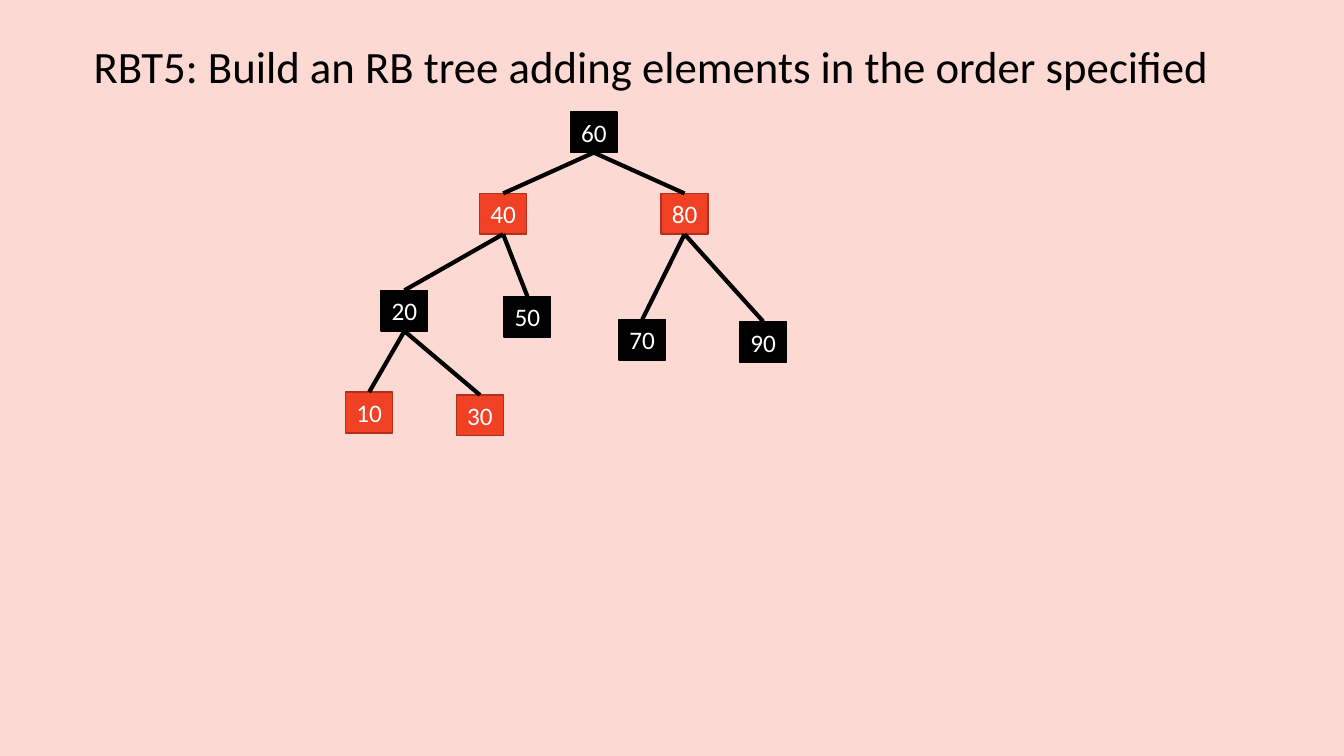
import pptx
import pptx.dml.color
import pptx.enum.shapes
import pptx.enum.text
import pptx.oxml.ns
import pptx.util
from lxml import etree

Pt = pptx.util.Pt
RGBColor = pptx.dml.color.RGBColor
Align = pptx.enum.text.PP_ALIGN

# Content: key -> (left, top, parent key) in points
TITLE = "RBT5: Build an RB tree adding elements in the order specified"
NODES = {
    60: (407.5, 79.9, None),
    40: (342.7, 138.2, 60),
    80: (472.3, 138.2, 60),
    20: (272.2, 207.4, 40),
    50: (360, 211.7, 40),
    70: (442.1, 228.2, 80),
    90: (528.5, 229.7, 80),
    10: (247, 280.1, 20),
    30: (326.2, 282.2, 20),
}
RED_KEYS = {40, 80, 10, 30}
NODE_WIDTH, NODE_HEIGHT = 33.4, 29.1

BACKGROUND = RGBColor(0xFC, 0xD9, 0xD3)
BLACK = RGBColor(0, 0, 0)
WHITE = RGBColor(0xFF, 0xFF, 0xFF)
RED = RGBColor(0xF1, 0x41, 0x24)
DARK_RED = RGBColor(0xB2, 0x30, 0x1B)


def write_text(box, text, size, color, align=Align.LEFT, wrap=True):
    frame = box.text_frame
    frame.word_wrap = wrap
    frame.auto_size = pptx.enum.text.MSO_AUTO_SIZE.SHAPE_TO_FIT_TEXT
    para = frame.paragraphs[0]
    para.alignment = align
    span = para.add_run()
    span.text = text
    span.font.name = "Calibri"
    span.font.size = Pt(size)
    span.font.color.rgb = color


def add_node(page, key, left, top):
    box = page.shapes.add_shape(
        pptx.enum.shapes.MSO_SHAPE.RECTANGLE,
        Pt(left), Pt(top), Pt(NODE_WIDTH), Pt(NODE_HEIGHT))
    box.shadow.inherit = False
    box.fill.solid()
    box.fill.fore_color.rgb = RED if key in RED_KEYS else BLACK
    box.line.color.rgb = DARK_RED if key in RED_KEYS else BLACK
    box.line.width = Pt(1)
    write_text(box, str(key), 18, WHITE, align=Align.CENTER)
    return box


def add_edge(page, parent, child):
    edge = page.shapes.add_connector(
        pptx.enum.shapes.MSO_CONNECTOR.STRAIGHT, 0, 0, 0, 0)
    # Rectangle sites: 2 is the bottom centre, 0 the top centre
    edge.begin_connect(parent, 2)
    edge.end_connect(child, 0)
    edge.line.color.rgb = BLACK
    edge.line.width = Pt(3)
    etree.SubElement(edge._element.spPr, pptx.oxml.ns.qn("a:effectLst"))


def main():
    deck = pptx.Presentation()
    deck.slide_width, deck.slide_height = Pt(960), Pt(540)
    page = deck.slides.add_slide(deck.slide_layouts[6])
    page.background.fill.solid()
    page.background.fill.fore_color.rgb = BACKGROUND

    # Title
    title = page.shapes.add_textbox(Pt(59.8), Pt(23.8), Pt(815.8), Pt(46))
    write_text(title, TITLE, 32, BLACK, wrap=False)

    # Tree: nodes, then the edges above them
    boxes = {key: add_node(page, key, left, top)
             for key, (left, top, _) in NODES.items()}
    for key, (_, _, parent) in NODES.items():
        if parent is not None:
            add_edge(page, boxes[parent], boxes[key])

    deck.save("out.pptx")


if __name__ == "__main__":
    main()
